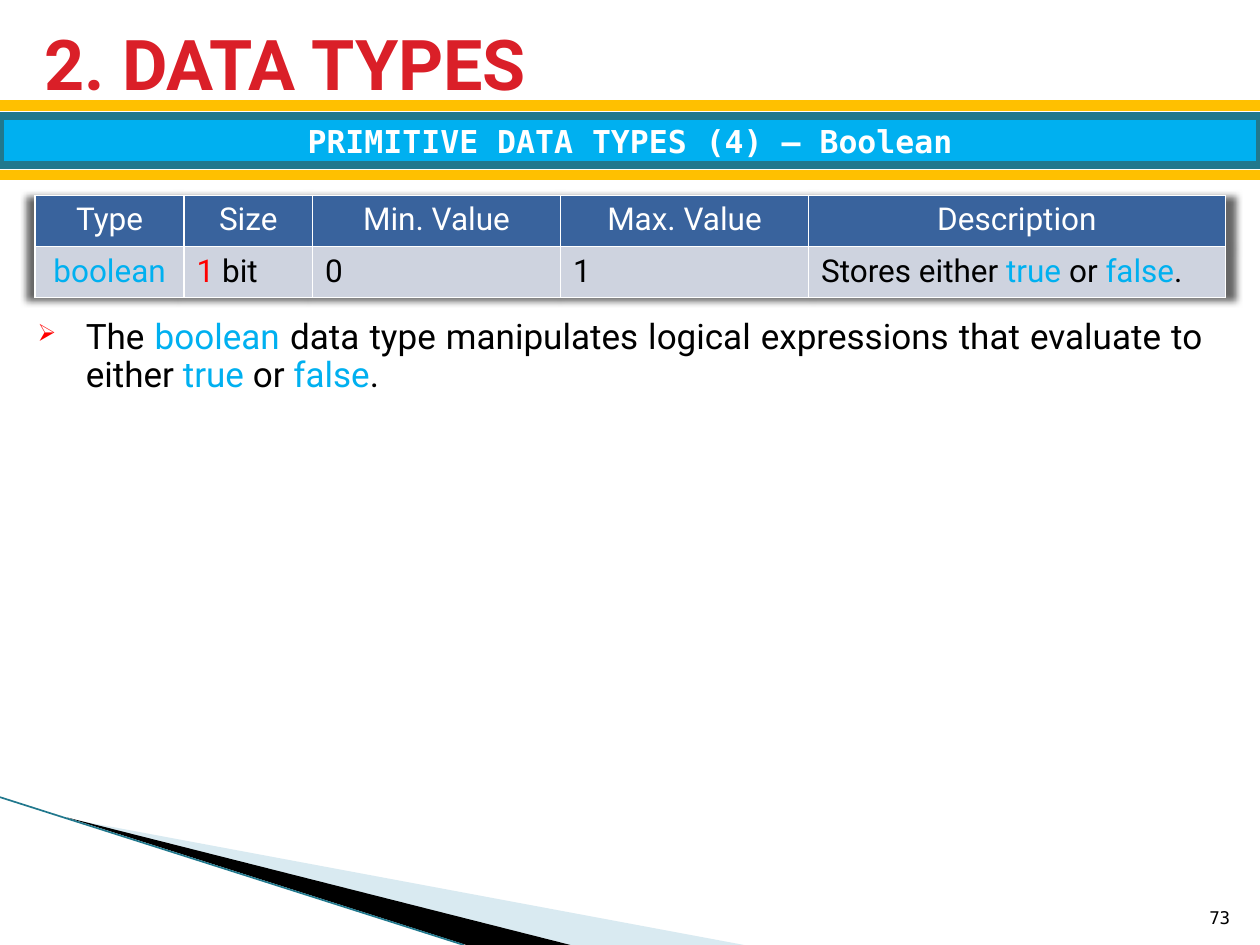
from lxml import etree
from pptx import Presentation
from pptx.dml.color import RGBColor
from pptx.enum.shapes import MSO_CONNECTOR as Connector, MSO_SHAPE as Shape
from pptx.enum.text import MSO_ANCHOR as Anchor, PP_ALIGN as Align
from pptx.oxml import parse_xml
from pptx.oxml.ns import nsdecls, qn
from pptx.util import Cm, Pt

COLORS = {
    "red": "DA1F28", "bright_red": "FF0000", "gold": "FFC000", "sky": "00B0F0",
    "teal": "21788D", "pale": "A0CBDC", "header": "39639D", "cell": "CED3DF",
    "black": "000000", "white": "FFFFFF",
}
SANS, MONO = "Roboto", "DejaVu Sans Mono"
WIDTH, HEIGHT = 25.4, 19.05


def rgb(name):
    return RGBColor.from_string(COLORS[name])


class SlideBuilder:
    def __init__(self, slide):
        self.slide = slide
        self.shapes = slide.shapes

    def fill_text(self, frame, spans, size, font=SANS, align=Align.LEFT, bold=False):
        """Fill the first paragraph from (text, colour name) pairs."""
        para = frame.paragraphs[0]
        para.alignment = align
        para.font.name, para.font.size, para.font.bold = font, Pt(size), bold
        for text, color in spans:
            span = para.add_run()
            span.text = text
            span.font.color.rgb = rgb(color)
        return para

    def text(self, area, spans, size, anchor=Anchor.TOP, **style):
        box = self.shapes.add_textbox(*map(Cm, area))
        frame = box.text_frame
        frame.word_wrap = True
        frame.vertical_anchor = anchor
        return self.fill_text(frame, spans, size, **style)

    def bullet(self, area, spans, size):
        para = self.text(area, spans, size, align=Align.JUSTIFY)
        para.line_spacing = 0.9
        props = para._p.get_or_add_pPr()
        props.set("marL", str(Cm(0.97)))
        props.set("indent", str(-Cm(0.97)))
        marks = parse_xml(
            f'<a:pPr {nsdecls("a")}><a:buClr><a:srgbClr val="{COLORS["bright_red"]}"/></a:buClr>'
            '<a:buSzPct val="68000"/><a:buChar char="➢"/></a:pPr>')
        defaults = props.find(qn("a:defRPr"))
        for mark in list(marks):
            defaults.addprevious(mark)

    def banner(self, area, spans, size, fill, line):
        box = self.shapes.add_shape(Shape.RECTANGLE, *map(Cm, area))
        box.shadow.inherit = False
        box.fill.solid()
        box.fill.fore_color.rgb = rgb(fill)
        box.line.color.rgb = rgb(line)
        box.line.width = Pt(4.33)
        box.text_frame.vertical_anchor = Anchor.MIDDLE
        self.fill_text(box.text_frame, spans, size, MONO, Align.CENTER, True)

    def line(self, start, end, color, width):
        line = self.shapes.add_connector(Connector.STRAIGHT, *map(Cm, start + end))
        line.line.color.rgb = rgb(color)
        line.line.width = Pt(width)
        etree.SubElement(line._element.spPr, qn("a:effectLst"))

    def wedge(self, points, color, opacity=100):
        start, *rest = [(Cm(x), Cm(y)) for x, y in points]
        builder = self.shapes.build_freeform(*start)
        builder.add_line_segments(rest)
        wedge = builder.convert_to_shape()
        wedge.shadow.inherit = False
        wedge.fill.solid()
        wedge.fill.fore_color.rgb = rgb(color)
        wedge.line.fill.background()
        tint = wedge._element.spPr.find(".//" + qn("a:srgbClr"))
        etree.SubElement(tint, qn("a:alpha"), val=str(opacity * 1000))

    def cell(self, cell, spans, fill, align):
        cell.fill.solid()
        cell.fill.fore_color.rgb = rgb(fill)
        self.fill_text(cell.text_frame, spans, 18, align=align)
        props = cell._tc.get_or_add_tcPr()
        for index, side in enumerate(("lnL", "lnR", "lnT", "lnB")):
            props.insert(index, parse_xml(
                f'<a:{side} {nsdecls("a")} w="{Pt(1)}"><a:solidFill>'
                f'<a:srgbClr val="{COLORS["white"]}"/></a:solidFill></a:{side}>'))

    def table(self, left, top, widths, row_height, header, row):
        frame = self.shapes.add_table(2, len(widths), Cm(left), Cm(top),
                                      Cm(sum(widths)), Cm(2 * row_height))
        table = frame.table
        for column, width in zip(table.columns, widths):
            column.width = Cm(width)
        for line in table.rows:
            line.height = Cm(row_height)
        for index, (title, spans) in enumerate(zip(header, row)):
            self.cell(table.cell(0, index), [(title, "white")], "header", Align.CENTER)
            self.cell(table.cell(1, index), spans, "cell",
                      Align.LEFT if index else Align.CENTER)
        table._tbl.tblPr.insert(0, parse_xml(
            f'<a:effectLst {nsdecls("a")}><a:outerShdw blurRad="50800" dist="12700" '
            'dir="5400000" sx="101500" sy="100000" algn="ctr" rotWithShape="0">'
            '<a:srgbClr val="000000"><a:alpha val="60000"/></a:srgbClr>'
            '</a:outerShdw></a:effectLst>'))


def main():
    deck = Presentation()
    deck.slide_width, deck.slide_height = Cm(WIDTH), Cm(HEIGHT)
    page = SlideBuilder(deck.slides.add_slide(deck.slide_layouts[6]))

    page.wedge([(1.4, 16.51), (15, HEIGHT), (11.5, HEIGHT)], "pale", 40)
    page.wedge([(1.35, 16.48), (11.5, HEIGHT), (9.4, HEIGHT)], "black")
    page.line((0, 16.07), (9.35, HEIGHT), "teal", 0.95)

    page.text((0.64, 0.43, 24.05, 1.65), [("2. DATA TYPES", "red")], 40,
              anchor=Anchor.MIDDLE, bold=True)
    for y in (2.13, 3.53):
        page.line((0, y), (WIDTH, y), "gold", 6)
    page.banner((0, 2.34, WIDTH, 0.99),
                [("PRIMITIVE DATA TYPES (4) – Boolean", "white")], 18, "sky", "teal")

    choice = [("true ", "sky"), ("or ", "black"), ("false", "sky"), (".", "black")]
    page.table(0.71, 3.94, (3, 2.59, 5, 5, 8.4), 1.03,
               ("Type", "Size", "Min. Value", "Max. Value", "Description"),
               ([("boolean", "sky")],
                [("1", "bright_red"), (" bit", "black")],
                [("0", "black")],
                [("1", "black")],
                [("Stores either ", "black")] + choice))
    page.bullet((0.51, 6.32, 24, 2),
                [("The ", "black"), ("boolean ", "sky"),
                 ("data type manipulates logical expressions that evaluate to either ",
                  "black")] + choice, 20)
    page.text((24.03, 17.81, 1.02, 1.02), [("73", "black")], 10,
              anchor=Anchor.BOTTOM, font=MONO, align=Align.RIGHT)
    deck.save("out.pptx")


if __name__ == "__main__":
    main()
